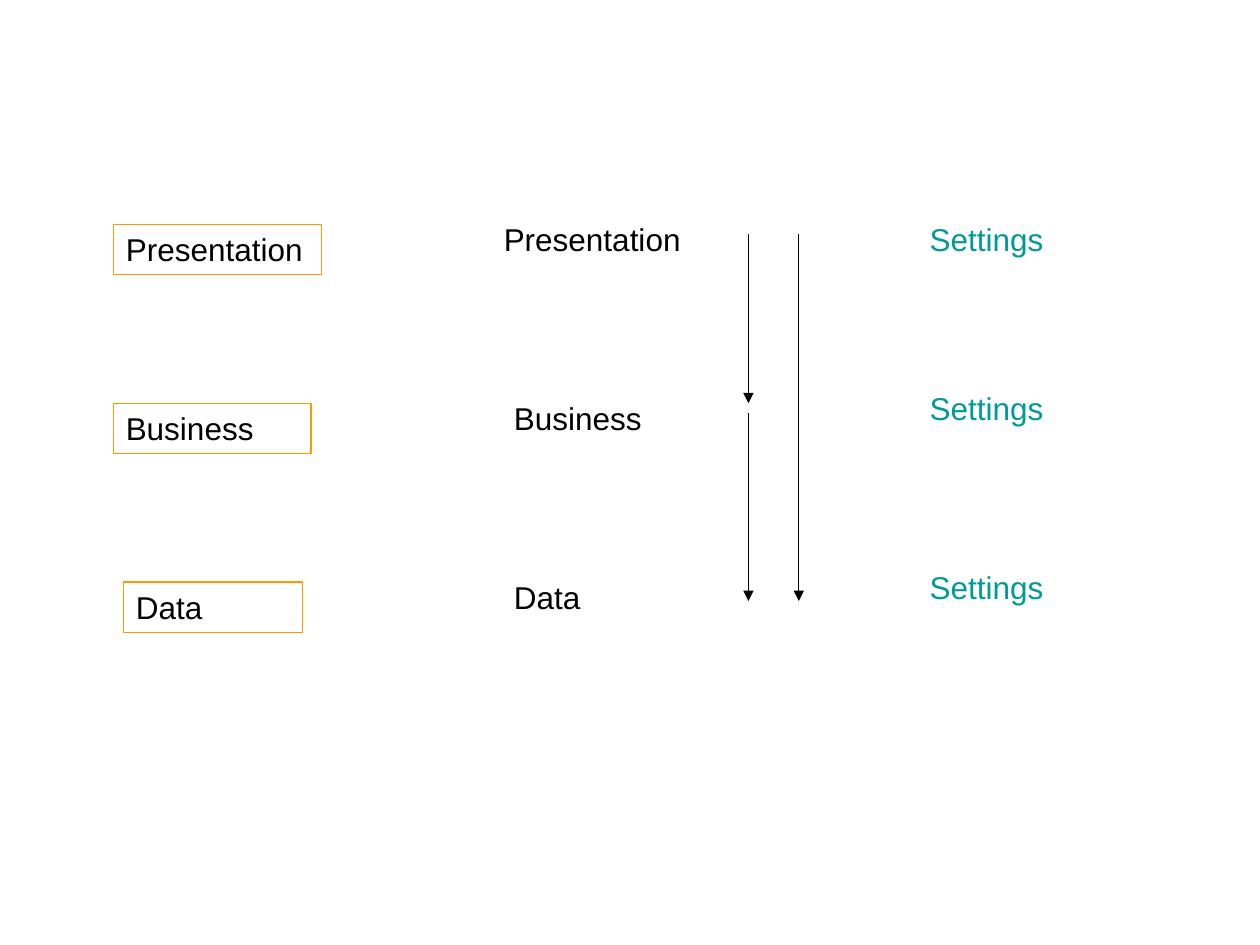
from lxml import etree
from pptx import Presentation
from pptx.dml.color import RGBColor
from pptx.enum.shapes import MSO_CONNECTOR, MSO_SHAPE
from pptx.enum.text import MSO_ANCHOR, PP_ALIGN
from pptx.oxml.ns import qn
from pptx.util import Inches, Pt

RECTANGLE = MSO_SHAPE.RECTANGLE
STRAIGHT = MSO_CONNECTOR.STRAIGHT
TOP = MSO_ANCHOR.TOP
LEFT = PP_ALIGN.LEFT

BLACK, ORANGE, TEAL = "000000", "FF9900", "009999"
ROW_HEIGHT = 0.4


def color(hex_code):
    return RGBColor.from_string(hex_code)


class LayerSlide:
    font_name = "Arial"
    font_size = Pt(18)
    line_width = Pt(0.75)

    def __init__(self, slide):
        self.slide = slide

    def set_text(self, shape, text, text_color):
        frame = shape.text_frame
        frame.word_wrap = True
        frame.vertical_anchor = TOP
        frame.text = text
        paragraph = frame.paragraphs[0]
        paragraph.alignment = LEFT
        font = paragraph.runs[0].font
        font.name = self.font_name
        font.size = self.font_size
        font.color.rgb = color(text_color)

    def label(self, text, left, top, width, text_color=BLACK):
        box = self.slide.shapes.add_textbox(
            Inches(left), Inches(top), Inches(width), Inches(ROW_HEIGHT))
        self.set_text(box, text, text_color)

    def framed_label(self, text, left, top, width):
        frame = self.slide.shapes.add_shape(
            RECTANGLE, Inches(left), Inches(top), Inches(width), Inches(ROW_HEIGHT))
        frame.shadow.inherit = False
        frame.fill.background()
        frame.line.color.rgb = color(ORANGE)
        frame.line.width = self.line_width
        self.set_text(frame, text, BLACK)

    def down_arrow(self, x, start, end):
        arrow = self.slide.shapes.add_connector(
            STRAIGHT, Inches(x), Inches(start), Inches(x), Inches(end))
        arrow.line.color.rgb = color(BLACK)
        arrow.line.width = self.line_width
        properties = arrow._element.spPr
        etree.SubElement(properties.find(qn("a:ln")), qn("a:tailEnd"), type="triangle")
        etree.SubElement(properties, qn("a:effectLst"))


def main():
    presentation = Presentation()
    presentation.slide_width = Inches(10)
    presentation.slide_height = Inches(7.5)
    page = LayerSlide(presentation.slides.add_slide(presentation.slide_layouts[6]))

    # layer, frame left and width, label left and width, settings top
    layers = [
        ("Presentation", 0.9, 1.65, 3.9, 2.36, 1.7),
        ("Business", 0.9, 1.57, 3.98, 1.57, 3.04),
        ("Data", 0.98, 1.42, 3.98, 1.42, 4.46),
    ]
    first_top, row_step, frame_drop = 1.7, 1.42, 0.08
    for row, (layer, frame_left, frame_width, left, width, settings_top) in enumerate(layers):
        top = first_top + row * row_step
        page.framed_label(layer, frame_left, top + frame_drop, frame_width)
        page.label(layer, left, top, width)
        page.label("Settings", 7.28, settings_top, 1.26, TEAL)

    for x, start, end in [(5.94, 1.86, 3.2), (5.94, 3.28, 4.77), (6.34, 1.86, 4.77)]:
        page.down_arrow(x, start, end)

    presentation.save("out.pptx")


if __name__ == "__main__":
    main()
